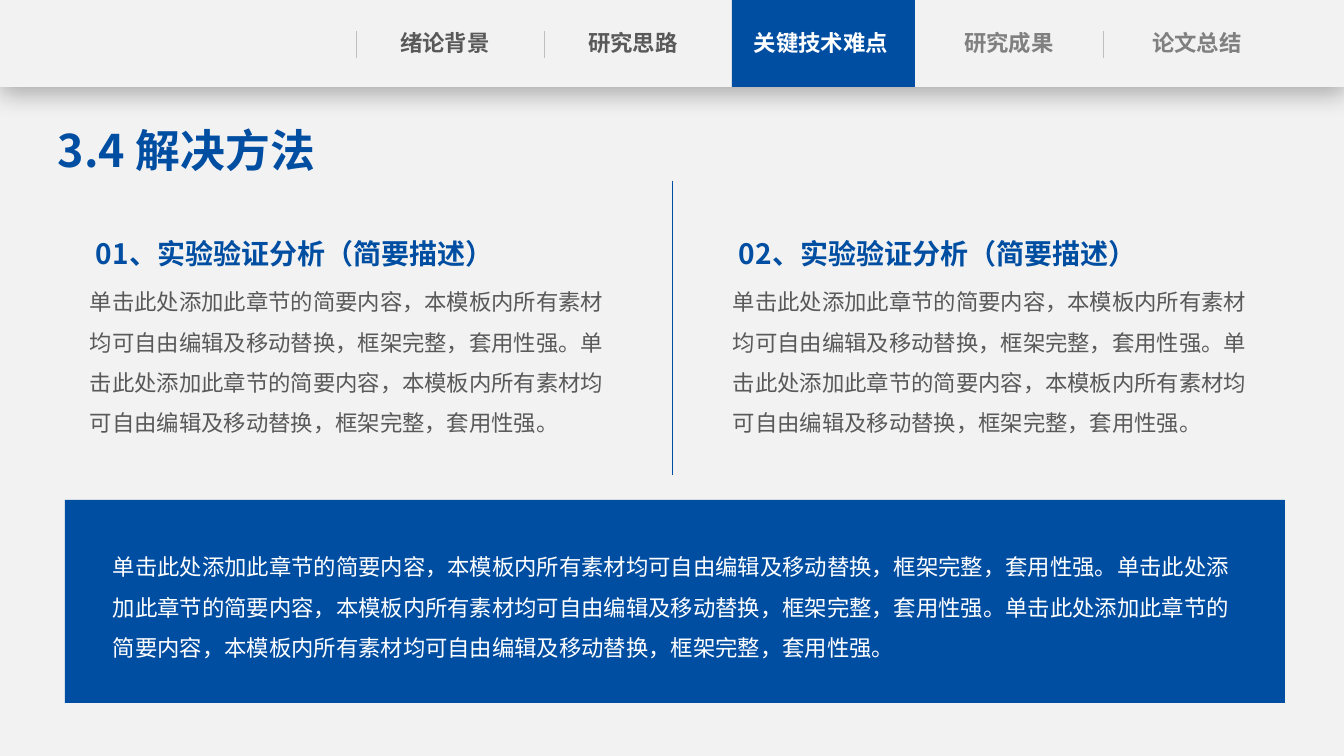
from lxml.etree import SubElement
from pptx import Presentation
from pptx.dml.color import RGBColor
from pptx.enum.shapes import MSO_CONNECTOR, MSO_SHAPE
from pptx.enum.text import MSO_AUTO_SIZE, PP_ALIGN
from pptx.oxml.ns import qn
from pptx.util import Pt

COLORS = {
    "blue": "004EA2",
    "paper": "F2F2F2",
    "white": "FFFFFF",
    "dark": "595959",
    "muted": "808080",
    "rule": "BFBFBF",
    "black": "000000",
}
FONT = "Noto Sans CJK SC"

TITLE = "3.4 解决方法"
TABS = [
    ("绪论背景", "dark"),
    ("研究思路", "dark"),
    ("关键技术难点", "white"),
    ("研究成果", "muted"),
    ("论文总结", "muted"),
]
SEPARATORS = [356, 544, 1103]
SENTENCE = "单击此处添加此章节的简要内容，本模板内所有素材均可自由编辑及移动替换，框架完整，套用性强。"
COLUMNS = [
    ("01、实验验证分析（简要描述）", SENTENCE * 2),
    ("02、实验验证分析（简要描述）", SENTENCE * 2),
]
SUMMARY = SENTENCE * 3

WIDTH, HEIGHT = 1344, 756
HEADER_H = 87
TAB_X, TAB_STEP, TAB_W = 371, 188, 148
COLUMN_X, COLUMN_STEP = 80, 643


def px(n):
    return round(n * 914400 / 100.8)


def rgb(name):
    return RGBColor.from_string(COLORS[name])


def add_rect(s, x, y, w, h, color):
    sp = s.shapes.add_shape(MSO_SHAPE.RECTANGLE, px(x), px(y), px(w), px(h))
    sp.shadow.inherit = False
    sp.fill.solid()
    sp.fill.fore_color.rgb = rgb(color)
    sp.line.fill.background()
    return sp


def add_drop_shadow(sp, blur, dist, opacity):
    """Fill the shape's effect list with a shadow falling straight down."""
    effects = sp._element.spPr.find(qn("a:effectLst"))
    shadow = SubElement(effects, qn("a:outerShdw"), blurRad=str(Pt(blur)),
                        dist=str(Pt(dist)), dir="5400000", algn="t", rotWithShape="0")
    color = SubElement(shadow, qn("a:srgbClr"), val=COLORS["black"])
    SubElement(color, qn("a:alpha"), val=str(opacity * 1000))


def add_vertical(s, x, top, bottom, color):
    line = s.shapes.add_connector(MSO_CONNECTOR.STRAIGHT, px(x), px(top), px(x), px(bottom))
    line.line.color.rgb = rgb(color)
    line.line.width = Pt(0.5)
    SubElement(line._element.spPr, qn("a:effectLst"))


def add_text(s, text, x, y, w, h, size=16, color="dark", bold=False,
             align=PP_ALIGN.LEFT, spacing=1.5, inset=10):
    tf = s.shapes.add_textbox(px(x), px(y), px(w), px(h)).text_frame
    tf.word_wrap = True
    tf.auto_size = MSO_AUTO_SIZE.SHAPE_TO_FIT_TEXT
    tf.margin_left = tf.margin_right = px(inset)
    tf.margin_top = tf.margin_bottom = px(5)
    p = tf.paragraphs[0]
    p.alignment = align
    p.line_spacing = spacing
    r = p.add_run()
    r.text = text
    r.font.size = Pt(size)
    r.font.bold = bold
    r.font.color.rgb = rgb(color)
    r.font.name = FONT
    SubElement(r.font._element, qn("a:ea"), typeface=FONT)


def add_header(s):
    bar = add_rect(s, 0, 0, WIDTH, HEADER_H, "paper")
    add_drop_shadow(bar, blur=18, dist=4, opacity=29)
    add_rect(s, 732, 0, 183, HEADER_H, "blue")
    for x in SEPARATORS:
        add_vertical(s, x, 31, 58, "rule")
    for i, (label, color) in enumerate(TABS):
        add_text(s, label, TAB_X + i * TAB_STEP, 24, TAB_W, 38, color=color,
                 bold=True, align=PP_ALIGN.CENTER, spacing=1.0, inset=0)


def add_columns(s):
    for i, (heading, body) in enumerate(COLUMNS):
        x = COLUMN_X + i * COLUMN_STEP
        add_text(s, heading, x + 6, 215, 506, 55, size=20, color="blue", bold=True)
        add_text(s, body, x, 270, 541, 173)
    add_vertical(s, WIDTH / 2, 181, 475, "blue")


def main():
    prs = Presentation()
    prs.slide_width, prs.slide_height = px(WIDTH), px(HEIGHT)
    s = prs.slides.add_slide(prs.slide_layouts[6])
    s.background.fill.solid()
    s.background.fill.fore_color.rgb = rgb("paper")

    add_header(s)
    add_text(s, TITLE, 58, 118, 387, 65, size=32, color="blue", bold=True,
             spacing=1.0, inset=0)
    add_columns(s)
    add_rect(s, 65, 500, 1220, 203, "blue")
    add_text(s, SUMMARY, 103, 535, 1145, 132, color="white")
    prs.save("out.pptx")


if __name__ == "__main__":
    main()
